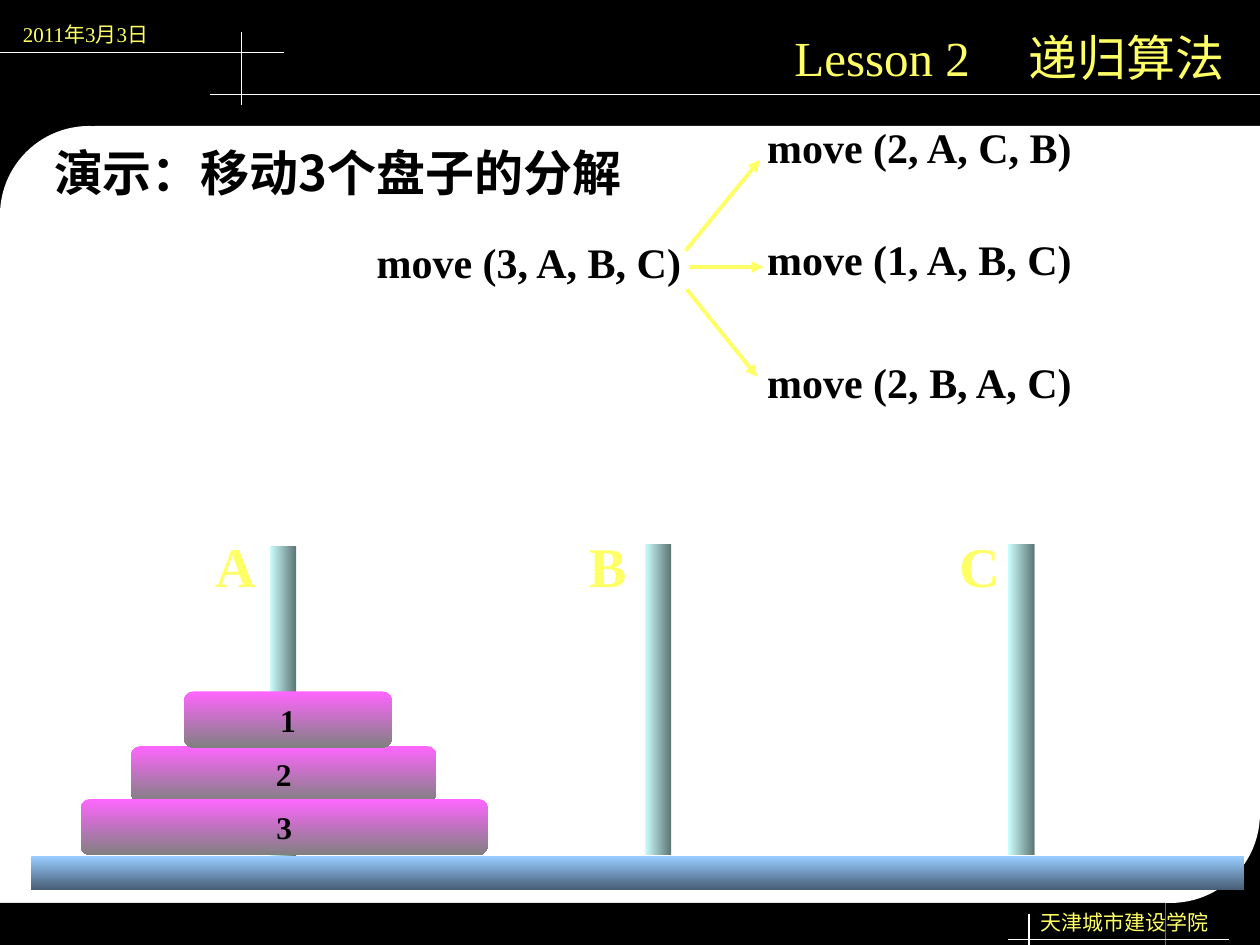
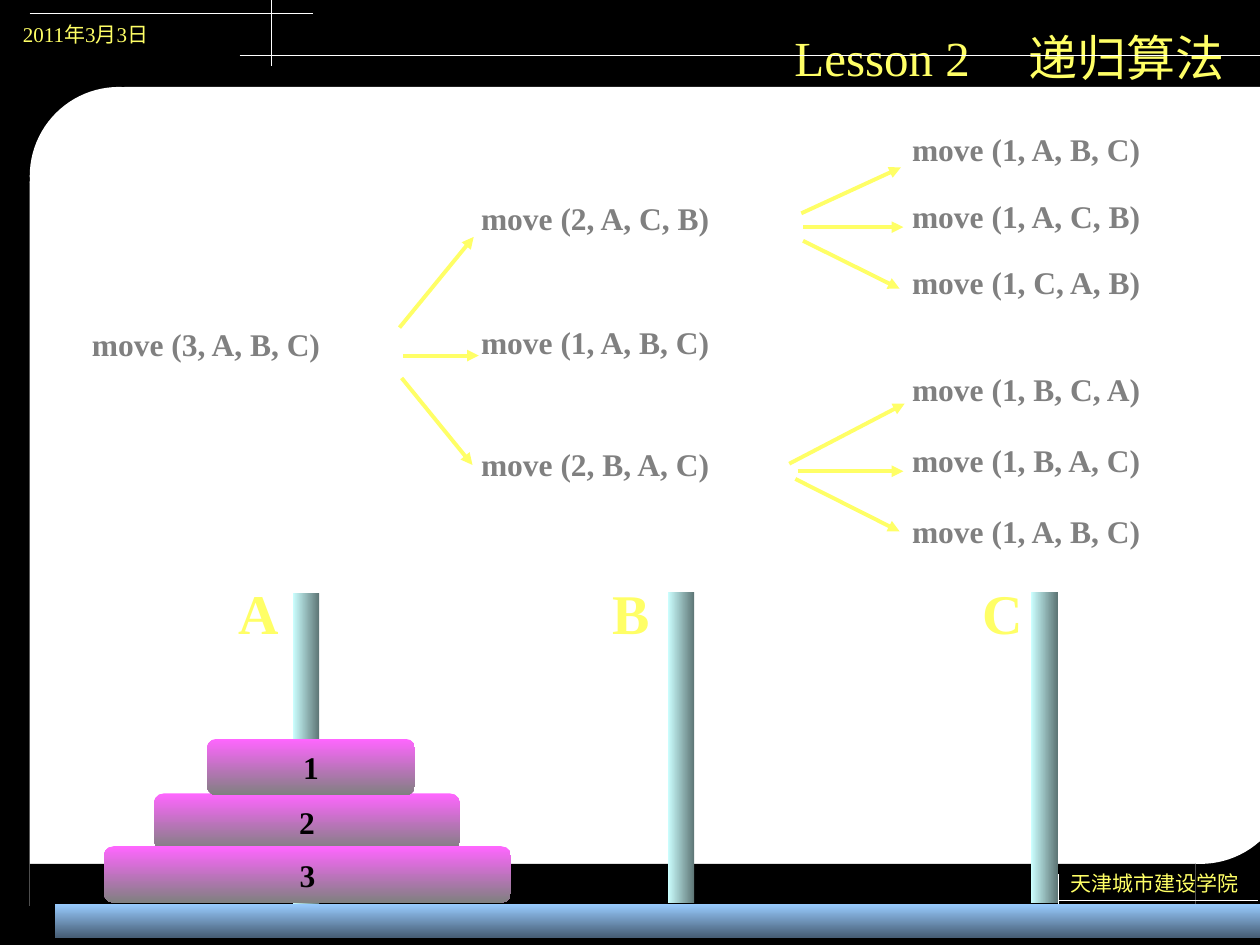
from dataclasses import dataclass
from typing import NamedTuple

from lxml import etree
from pptx import Presentation
from pptx import util as u
from pptx.dml.color import RGBColor
from pptx.enum import shapes, text
from pptx.oxml.ns import qn

COLORS = {
    "black": "000000", "white": "FFFFFF", "yellow": "FFFF66", "gray": "808080",
    "pink": "FF66FF", "aqua": "CCFFFF", "dark aqua": "5E7676",
    "sky": "99CCFF", "dark sky": "475E76",
}
SERIF, SANS = "Times New Roman", "Noto Sans CJK SC"
RECTANGLE = shapes.MSO_SHAPE.RECTANGLE
ROUNDED = shapes.MSO_SHAPE.ROUNDED_RECTANGLE
OVAL = shapes.MSO_SHAPE.OVAL
ALIGN = text.PP_ALIGN


class Point(NamedTuple):
    x: float
    y: float


class Box(NamedTuple):
    left: float
    top: float
    width: float
    height: float

    def moved(self, offset: Point) -> "Box":
        return Box(self.left + offset.x, self.top + offset.y, self.width, self.height)


@dataclass(frozen=True)
class Style:
    size: float
    color: str = "yellow"
    bold: bool = False
    font: str = SERIF
    align: ALIGN = ALIGN.LEFT


@dataclass(frozen=True)
class Panel:
    kind: shapes.MSO_SHAPE
    box: Box
    color: str


@dataclass(frozen=True)
class Call:
    """A recursive call and the arrow that leads to it."""
    arguments: str
    top: float
    start: Point | None = None
    end: Point | None = None
    joined: bool = False


@dataclass(frozen=True)
class CallColumn:
    left: float
    calls: list[Call]


@dataclass(frozen=True)
class Lesson:
    frame_offset: Point
    tower_offset: Point
    call_style: Style
    call_size: Point
    columns: list[CallColumn]
    heading: str = ""


# Shared frame: rules, white panel with two round corners, footer
HEADER_RULES = [
    (Point(0, 30), Point(162, 30)),
    (Point(138, 18), Point(138, 60)),
    (Point(120, 54), Point(720, 54)),
]
PANELS = [
    Panel(OVAL, Box(0, 72, 102, 102), "white"),
    Panel(RECTANGLE, Box(54, 72, 666, 102), "white"),
    Panel(RECTANGLE, Box(0, 126, 720, 414), "white"),
    Panel(RECTANGLE, Box(666, 468, 54.5, 72), "black"),
    Panel(OVAL, Box(618, 414, 102, 102), "white"),
    Panel(RECTANGLE, Box(0, 516, 666, 24), "black"),
]
FOOTER_RULES = [
    (Point(576, 537), Point(702, 537)),
    (Point(588, 522), Point(588, 540)),
]

# Towers of Hanoi
PEGS = [Box(368.4, 311, 15.1, 177.7), Box(154.1, 312, 15.1, 177.7),
        Box(576, 311, 15.1, 177.7)]
BASE = Box(18, 489.4, 692.8, 19)
PEG_LABELS = {"A": Box(115.9, 300.2, 37.4, 46), "B": Box(329.8, 300.2, 35.3, 46),
              "C": Box(541.4, 300.2, 37.4, 46)}
DISCS = {"2": Box(74.9, 426.3, 174.6, 32.2), "1": Box(105.1, 395.1, 118.9, 32.2),
         "3": Box(46.2, 456.5, 232.6, 32.2)}

LESSONS = [
    Lesson(
        Point(0, 0), Point(0, 0), Style(24, "black", True), Point(189.4, 36),
        [
            CallColumn(208.1, [Call("3, A, B, C", 131.8)]),
            CallColumn(431.3, [
                Call("2, A, C, B", 66.2, Point(391.7, 143.3), Point(434.2, 91.4)),
                Call("1, A, B, C", 129.8, Point(393.8, 152.6), Point(436.3, 152.6)),
                Call("2, B, A, C", 200.2, Point(392.4, 165.4), Point(432.7, 215.3)),
            ]),
        ],
        heading="演示：移动3个盘子的分解",
    ),
    Lesson(
        Point(17, -22.3), Point(13.2, 27.1), Style(18, "gray", True), Point(145.4, 28.8),
        [
            CallColumn(45.4, [Call("3, A, B, C", 182.2)]),
            CallColumn(267.8, [
                Call("2, A, C, B", 110.2, Point(228.3, 187.2), Point(270.7, 135.4)),
                Call("1, A, B, C", 180.9, Point(230.4, 203.2), Point(273.6, 203.2)),
                Call("2, B, A, C", 250.6, Point(229.5, 216), Point(270, 265.7)),
            ]),
            CallColumn(514.1, [
                Call("1, A, B, C", 70.6, Point(457.9, 121.9), Point(514.8, 95.7)),
                Call("1, A, C, B", 108.8, Point(458.9, 129.8), Point(516.2, 129.8)),
                Call("1, C, A, B", 146.9, Point(458.9, 137.6), Point(514.1, 165)),
                Call("1, B, C, A", 208.1, Point(451, 265), Point(517, 230.6)),
                Call("1, B, A, C", 248.5, Point(455.8, 269.3), Point(516.2, 269.3)),
                Call("1, A, B, C", 289.3, Point(454.5, 273.7), Point(514.8, 303), True),
            ]),
        ],
    ),
]


def rgb(name: str) -> RGBColor:
    return RGBColor.from_string(COLORS[name])


def points(values) -> list[u.Pt]:
    return [u.Pt(value) for value in values]


def style_text(frame, content: str, style: Style) -> None:
    paragraph = frame.paragraphs[0]
    paragraph.text = content
    paragraph.alignment = style.align
    font = paragraph.font
    font.size, font.bold, font.name = u.Pt(style.size), style.bold, style.font
    font.color.rgb = rgb(style.color)
    # East Asian characters need their own typeface
    defaults = paragraph._p.get_or_add_pPr().find(qn("a:defRPr"))
    etree.SubElement(defaults, qn("a:ea"), typeface=SANS)


def add_text(slide, box: Box, content: str, style: Style, wrap: bool = True):
    shape = slide.shapes.add_textbox(*points(box))
    frame = shape.text_frame
    frame.word_wrap = wrap
    frame.auto_size = text.MSO_AUTO_SIZE.SHAPE_TO_FIT_TEXT
    style_text(frame, content, style)
    return shape


def add_panel(slide, kind, box: Box, color: str):
    shape = slide.shapes.add_shape(kind, *points(box))
    shape.shadow.inherit = False
    shape.line.fill.background()
    shape.fill.solid()
    shape.fill.fore_color.rgb = rgb(color)
    return shape


def add_shaded(slide, kind, box: Box, first: str, last: str, angle: float):
    shape = add_panel(slide, kind, box, first)
    shape.fill.gradient()
    shape.fill.gradient_angle = angle
    for stop, color, position in zip(shape.fill.gradient_stops, (first, last), (0, 1)):
        stop.color.rgb = rgb(color)
        stop.position = position
    return shape


def add_line(slide, start: Point, end: Point, color: str, width: float, arrow: bool = False):
    line = slide.shapes.add_connector(
        shapes.MSO_CONNECTOR.STRAIGHT, *points((*start, *end)))
    line.line.color.rgb = rgb(color)
    line.line.width = u.Pt(width)
    if arrow:
        etree.SubElement(line.line._get_or_add_ln(), qn("a:tailEnd"), type="triangle")
    etree.SubElement(line._element.spPr, qn("a:effectLst"))
    return line


def add_title(slide) -> None:
    title = add_text(slide, Box(221.8, 12.2, 491.8, 41), "Lesson 2\t递归算法", Style(28))
    title.text_frame.margin_left = u.Pt(232.2)
    # A tab stop sets the gap between lesson number and topic
    properties = title.text_frame.paragraphs[0]._p.pPr
    tabs = etree.Element(qn("a:tabLst"))
    etree.SubElement(tabs, qn("a:tab"), pos=str(u.Pt(134)), algn="l")
    properties.find(qn("a:defRPr")).addprevious(tabs)


def add_rules(slide, rules, offset: Point) -> None:
    for start, end in rules:
        add_line(slide, Point(start.x + offset.x, start.y + offset.y),
                 Point(end.x + offset.x, end.y + offset.y), "white", 0.75)


def add_frame(slide, offset: Point) -> None:
    add_title(slide)
    add_rules(slide, HEADER_RULES, offset)
    for panel in PANELS:
        add_panel(slide, panel.kind, panel.box.moved(offset), panel.color)
    add_rules(slide, FOOTER_RULES, offset)
    add_text(slide, Box(206, 516, 491.8, 21.8).moved(offset), "天津城市建设学院",
             Style(12, align=ALIGN.RIGHT))
    add_text(slide, Box(6, 8.6, 102, 21.8), "2011年3月3日", Style(12))


def add_calls(slide, lesson: Lesson) -> None:
    for column in lesson.columns:
        for call in column.calls:
            box = Box(column.left, call.top, *lesson.call_size)
            label = add_text(slide, box, f"move ({call.arguments})", lesson.call_style, False)
            if call.start and call.end:
                arrow = add_line(slide, call.start, call.end, "yellow", 2.25, True)
                if call.joined:
                    arrow.end_connect(label, 1)


def add_towers(slide, offset: Point) -> None:
    for peg in PEGS:
        add_shaded(slide, RECTANGLE, peg.moved(offset), "aqua", "dark aqua", 0)
    add_shaded(slide, RECTANGLE, BASE.moved(offset), "sky", "dark sky", 270)
    for name, box in PEG_LABELS.items():
        add_text(slide, box.moved(offset), name, Style(32, bold=True), False)
    for number, box in DISCS.items():
        disc = add_shaded(slide, ROUNDED, box.moved(offset), "pink", "gray", 270)
        disc.adjustments[0] = 0.17
        disc.text_frame.vertical_anchor = text.MSO_ANCHOR.MIDDLE
        style_text(disc.text_frame, number, Style(18, "black", True, align=ALIGN.CENTER))


def main() -> None:
    presentation = Presentation()
    presentation.slide_width, presentation.slide_height = u.Pt(720), u.Pt(540)
    background = presentation.slide_master.background.fill
    background.solid()
    background.fore_color.rgb = rgb("black")
    for lesson in LESSONS:
        slide = presentation.slides.add_slide(presentation.slide_layouts[6])
        add_frame(slide, lesson.frame_offset)
        add_calls(slide, lesson)
        add_towers(slide, lesson.tower_offset)
        if lesson.heading:
            add_text(slide, Box(23.8, 77.8, 340.6, 74.9), lesson.heading,
                     Style(28, "black", True, SANS))
    presentation.save("out.pptx")


if __name__ == "__main__":
    main()
